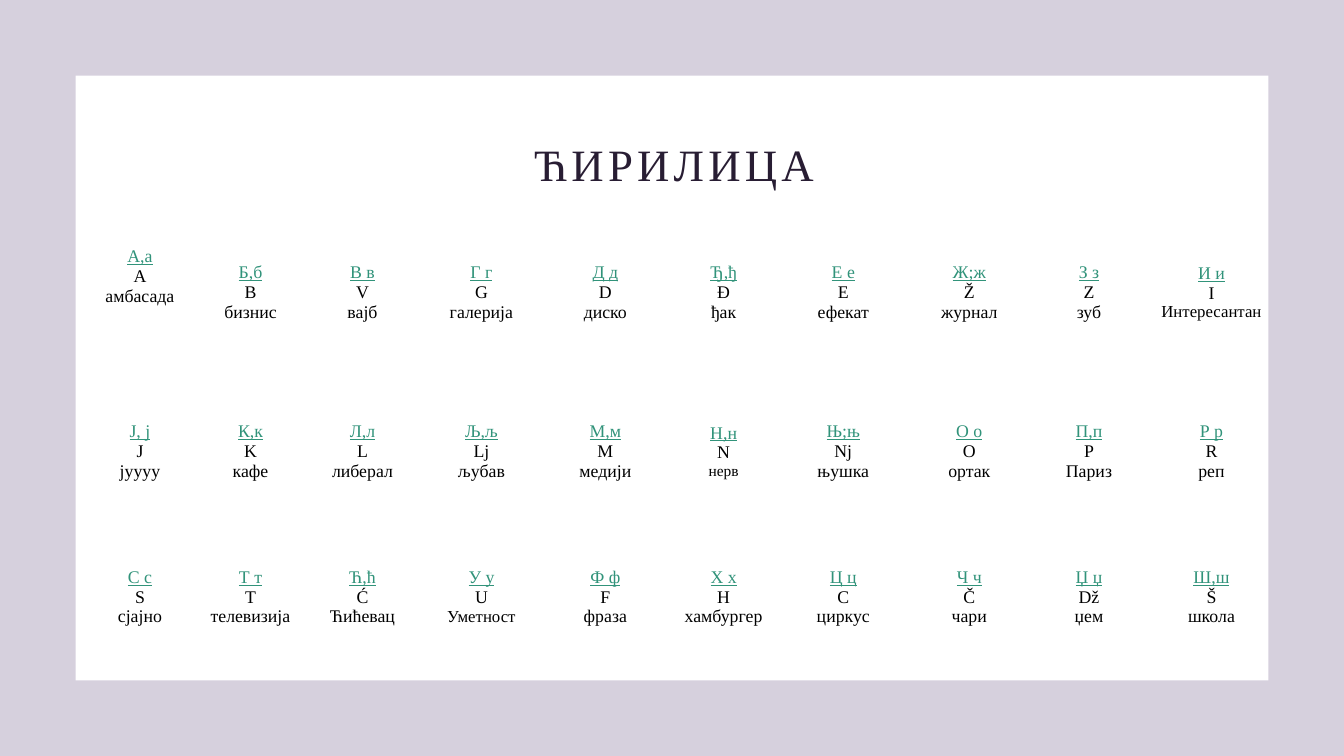
from dataclasses import dataclass

from lxml import etree
from pptx import Presentation
from pptx.dml.color import RGBColor as RGB
from pptx.enum.shapes import MSO_SHAPE as SHAPE
from pptx.enum.text import MSO_ANCHOR as ANCHOR, PP_ALIGN as ALIGN
from pptx.oxml.ns import qn
from pptx.util import Pt


@dataclass(frozen=True)
class Theme:
    font: str = "Times New Roman"
    backdrop: RGB = RGB(0x5E, 0x44, 0x78)
    panel: RGB = RGB(0xFF, 0xFF, 0xFF)
    title: RGB = RGB(0x28, 0x1D, 0x33)
    letter: RGB = RGB(0x31, 0x93, 0x7A)
    word: RGB = RGB(0, 0, 0)
    title_size: float = 32
    cell_size: float = 12.7


THEME = Theme()
WIDTH, HEIGHT, MARGIN = 960, 540, 54
COLUMNS = [79, 79, 81, 89, 88, 81, 90, 90, 81, 94]
ROWS = [123, 104, 104]
CELL_INSET = 8
NO_GRID_STYLE = "{2D5ABB26-0587-4C30-8999-92F81FD0307C}"
WORD_SIZES = {"Интересантан": 12, "нерв": 11, "Уметност": 12}
RAISED = {"амбасада": 23}  # extra bottom inset

ALPHABET = [
    [("А,а", "A", "амбасада"), ("Б,б", "B", "бизнис"), ("В в", "V", "вајб"),
     ("Г г", "G", "галерија"), ("Д д", "D", "диско"), ("Ђ,ђ", "Đ", "ђак"),
     ("Е е", "E", "ефекат"), ("Ж;ж", "Ž", "журнал"), ("З з", "Z", "зуб"),
     ("И и", "I", "Интересантан")],
    [("Ј, ј", "J", "јуууу"), ("К,к", "K", "кафе"), ("Л,л", "L", "либерал"),
     ("Љ,љ", "Lj", "љубав"), ("М,м", "M", "медији"), ("Н,н", "N", "нерв"),
     ("Њ;њ", "Nj", "њушка"), ("О о", "O", "ортак"), ("П,п", "P", "Париз"),
     ("Р р", "R", "реп")],
    [("С с", "S", "сјајно"), ("Т т", "T", "телевизија"), ("Ћ,ћ", "Ć", "Ћићевац"),
     ("У у", "U", "Уметност"), ("Ф ф", "F", "фраза"), ("Х х", "H", "хамбургер"),
     ("Ц ц", "C", "циркус"), ("Ч ч", "Č", "чари"), ("Џ џ", "Dž", "џем"),
     ("Ш,ш", "Š", "школа")],
]


def style_run(r, size, color, underline=False):
    r.font.name = THEME.font
    r.font.size = Pt(size)
    r.font.color.rgb = color
    r.font.underline = underline


def add_panel(slide, box, color, opacity=100):
    sp = slide.shapes.add_shape(SHAPE.RECTANGLE, *map(Pt, box))
    sp.shadow.inherit = False
    sp.fill.solid()
    sp.fill.fore_color.rgb = color
    sp.line.fill.background()
    if opacity < 100:
        clr = next(sp.fill._xPr.iter(qn("a:srgbClr")))
        etree.SubElement(clr, qn("a:alpha")).set("val", str(opacity * 1000))


def add_title(slide, box, text):
    tf = slide.shapes.add_textbox(*map(Pt, box)).text_frame
    tf.word_wrap = True
    tf.vertical_anchor = ANCHOR.MIDDLE
    tf.text = text
    p = tf.paragraphs[0]
    p.alignment = ALIGN.CENTER
    p.line_spacing = 0.9
    r = p.runs[0]
    style_run(r, THEME.title_size, THEME.title)
    r.font._element.set("spc", "300")


def fill_cell(cell, entry):
    word = entry[-1]
    cell.fill.background()
    cell.vertical_anchor = ANCHOR.MIDDLE
    cell.margin_left = cell.margin_right = cell.margin_top = Pt(CELL_INSET)
    cell.margin_bottom = Pt(CELL_INSET + RAISED.get(word, 0))
    cell.text_frame.text = "\n".join(entry)
    for i, p in enumerate(cell.text_frame.paragraphs):
        p.alignment = ALIGN.CENTER
        size = WORD_SIZES.get(p.text, THEME.cell_size)
        color = THEME.letter if i == 0 else THEME.word
        style_run(p.runs[0], size, color, underline=i == 0)


def add_alphabet(slide, left, top):
    box = (left, top, sum(COLUMNS), sum(ROWS))
    table = slide.shapes.add_table(len(ROWS), len(COLUMNS), *map(Pt, box)).table
    table.first_row = table.horz_banding = False
    next(table._tbl.iter(qn("a:tableStyleId"))).text = NO_GRID_STYLE
    for column, width in zip(table.columns, COLUMNS):
        column.width = Pt(width)
    for row, height, entries in zip(table.rows, ROWS, ALPHABET):
        row.height = Pt(height)
        for cell, entry in zip(row.cells, entries):
            fill_cell(cell, entry)


def alphabet_slide(prs):
    slide = prs.slides.add_slide(prs.slide_layouts[6])
    # Backdrop and panel
    add_panel(slide, (0, 0, WIDTH, HEIGHT), THEME.backdrop, opacity=25)
    add_panel(slide, (MARGIN, MARGIN, WIDTH - 2 * MARGIN, HEIGHT - 2 * MARGIN),
              THEME.panel)
    # Title
    add_title(slide, (2 * MARGIN, 84, 747, 71), "ЋИРИЛИЦА")
    # Letters with their Latin form and an example word
    add_alphabet(slide, MARGIN + 6.5, 147.5)


def main():
    prs = Presentation()
    prs.slide_width, prs.slide_height = Pt(WIDTH), Pt(HEIGHT)
    alphabet_slide(prs)
    prs.save("out.pptx")


if __name__ == "__main__":
    main()
